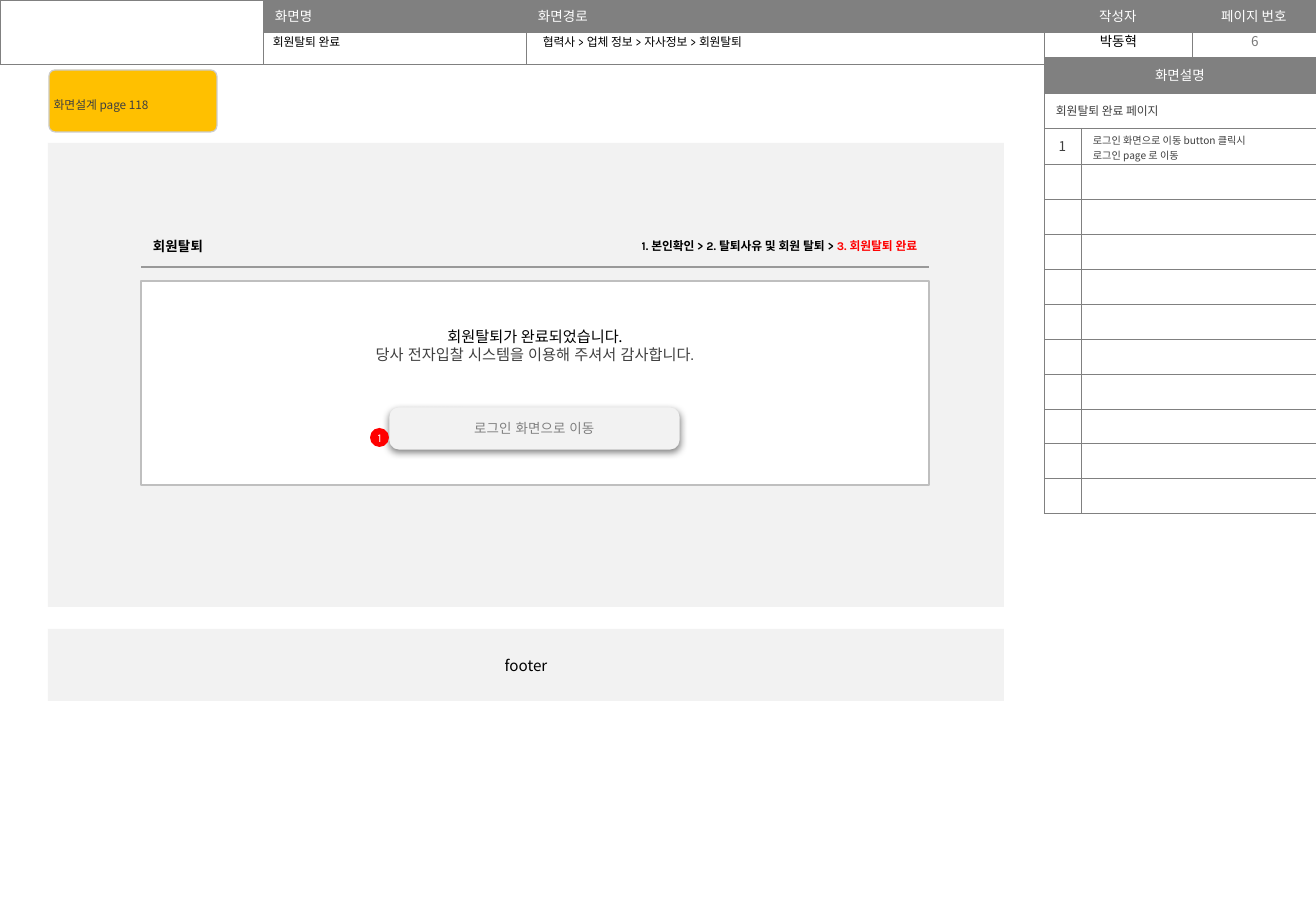
import pptx
import pptx.dml.color
import pptx.enum.shapes
import pptx.enum.text
import pptx.oxml
import pptx.oxml.ns
import pptx.util

PX = 914400 / 121.5
NOTO, KARLA, ARIAL = "Noto Sans CJK KR", "Karla", "Arial"
GRAY, PALE, DARK = "808080", "F2F2F2", "404040"
ALIGN = pptx.enum.text.PP_ALIGN
ANCHOR = pptx.enum.text.MSO_ANCHOR
NS = pptx.oxml.ns.nsdecls("a")


def px(length):
    return pptx.util.Emu(round(length * PX))


def rgb(color):
    return pptx.dml.color.RGBColor.from_string(color)


def style(paragraph, size, font=NOTO, color="000000", align=ALIGN.LEFT, bold=False):
    paragraph.alignment = align
    if not paragraph.runs:
        paragraph._p.get_or_add_endParaRPr().set("sz", str(size * 100))
    for run in paragraph.runs:
        run.font.size = pptx.util.Pt(size)
        run.font.name = font
        run.font.bold = bold
        run.font.color.rgb = rgb(color)
        run._r.get_or_add_rPr().append(
            pptx.oxml.parse_xml(f'<a:ea {NS} typeface="{font}"/>'))


def set_margins(frame, x, y):
    frame.margin_left = frame.margin_right = px(x)
    frame.margin_top = frame.margin_bottom = px(y)


def write(frame, text, size, anchor=ANCHOR.MIDDLE, **look):
    frame.text = text
    frame.word_wrap = True
    frame.auto_size = pptx.enum.text.MSO_AUTO_SIZE.NONE
    frame.vertical_anchor = anchor
    for paragraph in frame.paragraphs:
        style(paragraph, size, **look)


def add_label(slide, box, text, size, anchor=ANCHOR.TOP, **look):
    label = slide.shapes.add_textbox(*map(px, box))
    set_margins(label.text_frame, 12, 6)
    write(label.text_frame, text, size, anchor, **look)


def add_panel(slide, box, fill, line=None, radius=0):
    kinds = pptx.enum.shapes.MSO_SHAPE
    kind = kinds.ROUNDED_RECTANGLE if radius else kinds.RECTANGLE
    panel = slide.shapes.add_shape(kind, *map(px, box))
    if radius:
        panel.adjustments[0] = radius
    panel.shadow.inherit = False
    panel.fill.solid()
    panel.fill.fore_color.rgb = rgb(fill)
    if line:
        panel.line.color.rgb = rgb(line)
        panel.line.width = pptx.util.Pt(0.75)
    else:
        panel.line.fill.background()
    return panel


def set_borders(cell, sides, color, width):
    """Draw the given sides (letters of LRTB) and clear the others."""
    properties = cell._tc.get_or_add_tcPr()
    for position, side in enumerate("LRTB"):
        paint = (f'<a:solidFill><a:srgbClr val="{color}"/></a:solidFill>'
                 if side in sides else "<a:noFill/>")
        properties.insert(position, pptx.oxml.parse_xml(
            f'<a:ln{side} {NS} w="{round(width * 12700)}">{paint}</a:ln{side}>'))


def add_grid(slide, left, top, widths, heights, sides="LRTB", color=GRAY, width=0.25):
    table = slide.shapes.add_table(
        len(heights), len(widths), px(left), px(top), px(sum(widths)), px(sum(heights))).table
    table.first_row = table.horz_banding = False
    for column, length in zip(table.columns, widths):
        column.width = px(length)
    for row, length in zip(table.rows, heights):
        row.height = px(length)
    for cell in table.iter_cells():
        cell.fill.background()
        set_borders(cell, sides, color, width)
        set_margins(cell, 12, 0)
        cell.vertical_anchor = ANCHOR.MIDDLE
        style(cell.text_frame.paragraphs[0], 6)
    return table


def fill_cell(cell, text, size, fill=None, **look):
    cell.text = text
    if fill:
        cell.fill.solid()
        cell.fill.fore_color.rgb = rgb(fill)
    for paragraph in cell.text_frame.paragraphs:
        style(paragraph, size, **look)


def add_header(slide, left, top):
    header = add_grid(slide, left, top, [263, 263, 518, 148, 124], [32, 32])
    header.cell(0, 0).merge(header.cell(1, 0))
    headings = ["화면명", "화면경로", "작성자", "페이지 번호"]
    for column, heading in enumerate(headings, 1):
        fill_cell(header.cell(0, column), heading, 8, fill=GRAY, color="FFFFFF",
                  align=ALIGN.CENTER if column > 2 else ALIGN.LEFT)
    add_label(slide, (left + 1044, top + 27, 149, 29), "박동혁", 8, align=ALIGN.CENTER)
    add_label(slide, (left + 1194, top + 27, 122, 29), "6", 8, ANCHOR.MIDDLE,
              color="797979", align=ALIGN.CENTER)
    add_label(slide, (left + 531, top + 29, 512, 27),
              "협력사 > 업체 정보 > 자사정보 > 회원탈퇴", 7, font=KARLA)
    title = slide.shapes.title
    title.left, title.top, title.width, title.height = map(px, (left + 261, top + 29, 270, 27))
    set_margins(title.text_frame, 12, 6)
    write(title.text_frame, "회원탈퇴 완료", 7, ANCHOR.TOP, font=KARLA)


def add_description(slide, left, top):
    description = add_grid(slide, left, top, [37, 235], [36, 35, 36] + [35] * 10)
    for row in range(2):
        description.cell(row, 0).merge(description.cell(row, 1))
    fill_cell(description.cell(0, 0), "화면설명", 8, fill=GRAY, color="FFFFFF",
              align=ALIGN.CENTER)
    fill_cell(description.cell(1, 0), "회원탈퇴 완료 페이지", 7, color=DARK)
    fill_cell(description.cell(2, 0), "1", 8, color=DARK, align=ALIGN.CENTER)
    fill_cell(description.cell(2, 1),
              "로그인 화면으로 이동 button 클릭시\n로그인 page 로 이동", 6, color=DARK)
    description.cell(2, 1).margin_top = px(3)


def add_steps(slide, left, top):
    steps = add_grid(slide, left, top, [394, 394], [40], "B", "999999", 0.75)
    fill_cell(steps.cell(0, 0), "회원탈퇴", 8, font=KARLA, bold=True)
    progress = steps.cell(0, 1)
    paragraph = progress.text_frame.paragraphs[0]
    for part in ("1. 본인확인 > 2. 탈퇴사유 및 회원 탈퇴 > ", "3. 회원탈퇴 완료"):
        paragraph.add_run().text = part
    style(paragraph, 7, KARLA, align=ALIGN.RIGHT, bold=True)
    paragraph.runs[1].font.color.rgb = rgb("FF0000")


def add_login_button(slide, left, top):
    button = add_panel(slide, (left, top, 289, 41), PALE, PALE, 0.22)
    set_margins(button.text_frame, 0, 0)
    write(button.text_frame, "로그인 화면으로 이동", 8, font=ARIAL, color=GRAY,
          align=ALIGN.CENTER)
    button._element.spPr.find(pptx.oxml.ns.qn("a:effectLst")).append(pptx.oxml.parse_xml(
        f'<a:outerShdw {NS} blurRad="57150" dist="19050" dir="5400000" rotWithShape="0">'
        '<a:srgbClr val="000000"><a:alpha val="50000"/></a:srgbClr></a:outerShdw>'))
    marker = add_panel(slide, (left - 20, top + 20, 19, 19), "FF0000", radius=0.5)
    set_margins(marker.text_frame, 0, 0)
    write(marker.text_frame, "1", 7, font=KARLA, color="FFFFFF", align=ALIGN.CENTER)


def add_screen(slide, left, top):
    add_panel(slide, (left, top, 956, 464), PALE)
    footer = add_panel(slide, (left, top + 486, 956, 72), PALE)
    write(footer.text_frame, "footer", 9, align=ALIGN.CENTER)
    add_steps(slide, left + 93, top + 84)
    message = add_panel(slide, (left + 93, top + 138, 788, 204), "FFFFFF", "BFBFBF").text_frame
    write(message, "회원탈퇴가 완료되었습니다.\n당사 전자입찰 시스템을 이용해 주셔서 감사합니다.", 9,
          ANCHOR.TOP, align=ALIGN.CENTER)
    message.margin_top = px(46)
    style(message.paragraphs[1], 9, ARIAL, DARK, ALIGN.CENTER)
    add_login_button(slide, left + 342, top + 265)


def add_design_note(slide, left, top):
    note = add_panel(slide, (left, top, 168, 62), "FFC000", "CCCCCC", 0.1).text_frame
    set_margins(note, 3, 3)
    write(note, "화면설계 page 118", 7, color=DARK)
    note.paragraphs[0].line_spacing = 1.5


def main():
    deck = pptx.Presentation()
    deck.slide_width, deck.slide_height = px(1316), px(911)
    slide = deck.slides.add_slide(deck.slide_layouts[5])
    add_header(slide, 0, 0)
    add_description(slide, 1044, 57)
    add_screen(slide, 48, 143)
    add_design_note(slide, 49, 70)
    deck.save("out.pptx")


if __name__ == "__main__":
    main()
